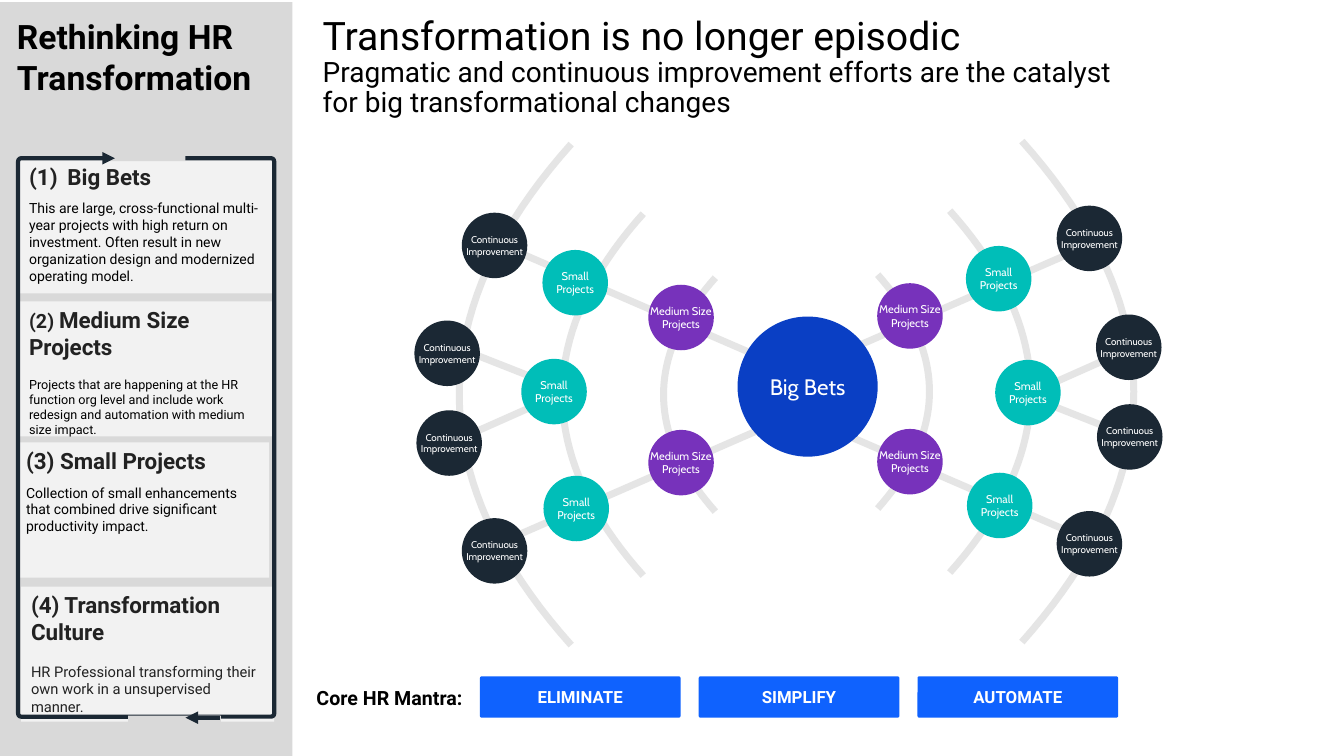
from collections import namedtuple

from lxml.etree import SubElement
from pptx import Presentation
from pptx.dml.color import RGBColor
from pptx.enum.shapes import MSO_CONNECTOR as Connector, MSO_SHAPE as Preset
from pptx.enum.text import MSO_ANCHOR as Anchor, MSO_AUTO_SIZE as AutoSize, PP_ALIGN as Align
from pptx.oxml.ns import qn
from pptx.util import Inches, Pt

COLUMNS, ROWS = 133.3, 75
NAVY, GREY, PALE, ARC_GREY = "1B2834", "D9D9D9", "F2F2F2", "E5E5E5"
BLACK, CHARCOAL, WHITE = "000000", "222222", "FFFFFF"
HUB_BLUE, PURPLE, TEAL, BUTTON_BLUE = "0A3FC4", "7732BB", "00BEB8", "0F62FE"
NODE_SIZE, HUB_SIZE = 6.5, 13.9

Box = namedtuple("Box", "left top width height")
Panel = namedtuple("Panel", "left top heading body gap size color numbered")
Ring = namedtuple("Ring", "reach bulge half_height")
Tier = namedtuple("Tier", "lines size color centers")

PANELS = [
    Panel(1.9, 15.5, [("Big Bets", 16)],
          "This are large, cross-functional multi-year projects with high return on investment. "
          "Often result in new organization design and modernized operating model.",
          7, 10, BLACK, True),
    Panel(1.9, 29.7, [("(2) ", 14), ("Medium Size Projects", 16)],
          "Projects that are happening at the HR function org level and include work redesign "
          "and automation with medium size impact.", 11.7, 9, BLACK, False),
    Panel(1.6, 43.7, [("(3) Small Projects", 16)],
          "Collection of small enhancements that combined drive significant productivity impact.",
          7, 10, BLACK, False),
    Panel(2.1, 58, [("(4) Transformation Culture", 16)],
          "HR Professional transforming their own work in a unsupervised manner.",
          12.3, 10.5, CHARCOAL, False),
]
RINGS = [Ring(8.05, 14.9, 11.6), Ring(15.2, 25.9, 17.95), Ring(22.35, 37.15, 24.85)]
SPOKES = [(29.5, -14.9, -4.2, -0.2), (29.5, 14.8, -4.2, 0.2),
          (33.1, -4.4, 23.2, 0), (33.1, 4.3, 23.2, 0.4)]
TIERS = [
    Tier(["Medium Size", "Projects"], 8, PURPLE,
         [(11.25, -7.65), (11.25, 6.8), (-11.45, -7.5), (-11.45, 6.9)]),
    Tier(["Small", "Projects"], 8, TEAL,
         [(20.05, -11.35), (22.95, -0.05), (20.15, 11.15),
          (-21.95, -10.95), (-24.05, -0.15), (-21.85, 11.45)]),
    Tier(["Continuous", "Improvement"], 7, NAVY,
         [(29.05, -15.35), (32.95, -4.55), (33.05, 4.35), (29.05, 14.95),
          (-29.95, -14.65), (-34.65, -3.95), (-34.45, 4.95), (-29.95, 15.65)]),
]


def cells(count):
    return Inches(count / 10)


def rgb(color):
    return RGBColor.from_string(color)


def add_run(paragraph, text, size, color, bold=False, font="Roboto"):
    run = paragraph.add_run()
    run.text = text
    run.font.size, run.font.bold, run.font.name = Pt(size), bold, font
    run.font.color.rgb = rgb(color)


def set_insets(frame, inset):
    frame.margin_left = frame.margin_right = cells(inset)
    frame.margin_top = frame.margin_bottom = cells(inset)


def add_block(slide, preset, box, fill=None):
    shape = slide.shapes.add_shape(preset, *map(cells, box))
    shape.shadow.inherit = False
    shape.line.fill.background()
    if fill:
        shape.fill.solid()
        shape.fill.fore_color.rgb = rgb(fill)
    else:
        shape.fill.background()
    return shape


def add_line(slide, x1, y1, x2, y2, color, width, arrow=False):
    line = slide.shapes.add_connector(Connector.STRAIGHT, *map(cells, (x1, y1, x2, y2)))
    line.line.color.rgb, line.line.width = rgb(color), Pt(width)
    if arrow:
        SubElement(line.line._get_or_add_ln(), qn("a:tailEnd"), type="triangle")
    SubElement(line._element.spPr, qn("a:effectLst"))


def add_label(slide, box, text, size, wrap):
    frame = slide.shapes.add_textbox(*map(cells, box)).text_frame
    frame.word_wrap = wrap
    set_insets(frame, 1)
    add_run(frame.paragraphs[0], text, size, BLACK, True)


def add_title(slide, box):
    title = slide.shapes.title
    title.left, title.top, title.width, title.height = map(cells, box)
    frame = title.text_frame
    frame.auto_size, frame.vertical_anchor, frame.word_wrap = AutoSize.NONE, Anchor.TOP, True
    set_insets(frame, 0)
    paragraph = frame.paragraphs[0]
    paragraph.alignment, paragraph.line_spacing = Align.LEFT, 0.9
    add_run(paragraph, "Transformation is no longer episodic", 28, BLACK)
    paragraph.add_line_break()
    add_run(paragraph, "Pragmatic and continuous improvement efforts are the catalyst "
            "for big transformational changes", 20, BLACK)


def add_panel(slide, box, panel):
    frame = add_block(slide, Preset.RECTANGLE, box, PALE).text_frame
    frame.vertical_anchor, frame.word_wrap = Anchor.TOP, True
    heading, body = frame.paragraphs[0], frame.add_paragraph()
    heading.alignment = body.alignment = Align.LEFT
    if panel.numbered:
        properties = heading._p.get_or_add_pPr()
        properties.set("marL", str(cells(3.8)))
        properties.set("indent", str(cells(-3.8)))
        SubElement(properties, qn("a:buFont"), typeface="+mj-lt")
        SubElement(properties, qn("a:buAutoNum"), type="arabicParenBoth")
    for text, size in panel.heading:
        add_run(heading, text, size, CHARCOAL, True)
    body.space_before = Pt(panel.gap)
    add_run(body, panel.body, panel.size, panel.color)


def add_sidebar(slide, box):
    left, top = box.left, box.top
    add_block(slide, Preset.RECTANGLE, box, GREY)
    for panel in PANELS:
        add_panel(slide, Box(left + panel.left, top + panel.top, 25.1, 13.4), panel)
    cycle = add_block(slide, Preset.ROUNDED_RECTANGLE, Box(left + 1.8, top + 15.5, 25.4, 55.4))
    cycle.adjustments[0] = 0.012
    cycle.line.color.rgb, cycle.line.width = rgb(NAVY), Pt(3)
    add_block(slide, Preset.RECTANGLE, Box(left + 10.5, top + 14.1, 7.9, 1.7), GREY)
    add_line(slide, left + 5.8, top + 15.5, left + 11.4, top + 15.5, NAVY, 3, True)
    add_block(slide, Preset.RECTANGLE, Box(left + 12.7, top + 70.8, 9.2, 1.5), GREY)
    add_line(slide, left + 21.8, top + 71, left + 18.4, top + 71, NAVY, 3, True)
    add_label(slide, Box(left + 0.7, top + 0.4, 26.9, 10.1),
              "Rethinking HR Transformation", 24, True)


def add_arc(slide, center_x, center_y, side, ring, steps=40):
    points = []
    for step in range(steps + 1):
        t = step / steps
        x = ring.reach + 3 * t * (1 - t) * (ring.bulge - ring.reach)
        y = ring.half_height * (2 * t - 1)
        points.append((cells(center_x + side * x), cells(center_y + y)))
    builder = slide.shapes.build_freeform(*points[0])
    builder.add_line_segments(points[1:], close=False)
    arc = builder.convert_to_shape()
    arc.shadow.inherit = False
    arc.fill.background()
    arc.line.color.rgb, arc.line.width = rgb(ARC_GREY), Pt(5)


def add_node(slide, x, y, diameter, lines, size, color):
    box = Box(x - diameter / 2, y - diameter / 2, diameter, diameter)
    frame = add_block(slide, Preset.OVAL, box, color).text_frame
    frame.word_wrap, frame.vertical_anchor = False, Anchor.MIDDLE
    set_insets(frame, 0)
    paragraph = frame.paragraphs[0]
    paragraph.alignment = Align.CENTER
    for index, text in enumerate(lines):
        if index:
            paragraph.add_line_break()
        add_run(paragraph, text, size, WHITE, font="Cabin")


def add_network(slide, box):
    x, y = box.left + box.width / 2, box.top + box.height / 2
    for side in (-1, 1):
        for ring in RINGS:
            add_arc(slide, x, y - side * 0.15, side, ring)
        for x1, y1, x2, y2 in SPOKES:
            add_line(slide, x + side * x1, y + side * y1,
                     x + side * x2, y + side * y2, ARC_GREY, 5)
    add_node(slide, x + 1.1, y - 0.65, HUB_SIZE, ["Big Bets"], 16, HUB_BLUE)
    for tier in TIERS:
        for dx, dy in tier.centers:
            add_node(slide, x + dx, y + dy, NODE_SIZE, tier.lines, tier.size, tier.color)


def add_mantra(slide, box):
    add_label(slide, Box(box.left, box.top, 16.8, 4.4), "Core HR Mantra:", 14, False)
    for index, word in enumerate(["ELIMINATE", "SIMPLIFY", "AUTOMATE"]):
        button_box = Box(box.left + 17.2 + index * 21.7, box.top, 19.9, box.height)
        button = add_block(slide, Preset.ROUNDED_RECTANGLE, button_box, BUTTON_BLUE)
        button.adjustments[0] = 0.044
        frame = button.text_frame
        frame.vertical_anchor = Anchor.MIDDLE
        set_insets(frame, 0.6)
        frame.paragraphs[0].alignment = Align.CENTER
        add_run(frame.paragraphs[0], word, 12, WHITE, True)


def main():
    presentation = Presentation()
    presentation.slide_width, presentation.slide_height = cells(COLUMNS), cells(ROWS)
    slide = presentation.slides.add_slide(presentation.slide_layouts[5])
    add_title(slide, Box(32, 1.6, 79.4, 6.2))
    add_sidebar(slide, Box(0, 0.2, 29, ROWS - 0.2))
    add_network(slide, Box(41, 14, 76, 50))
    add_mantra(slide, Box(30.4, 67.1, 80.5, 4.1))
    presentation.save("out.pptx")


if __name__ == "__main__":
    main()
